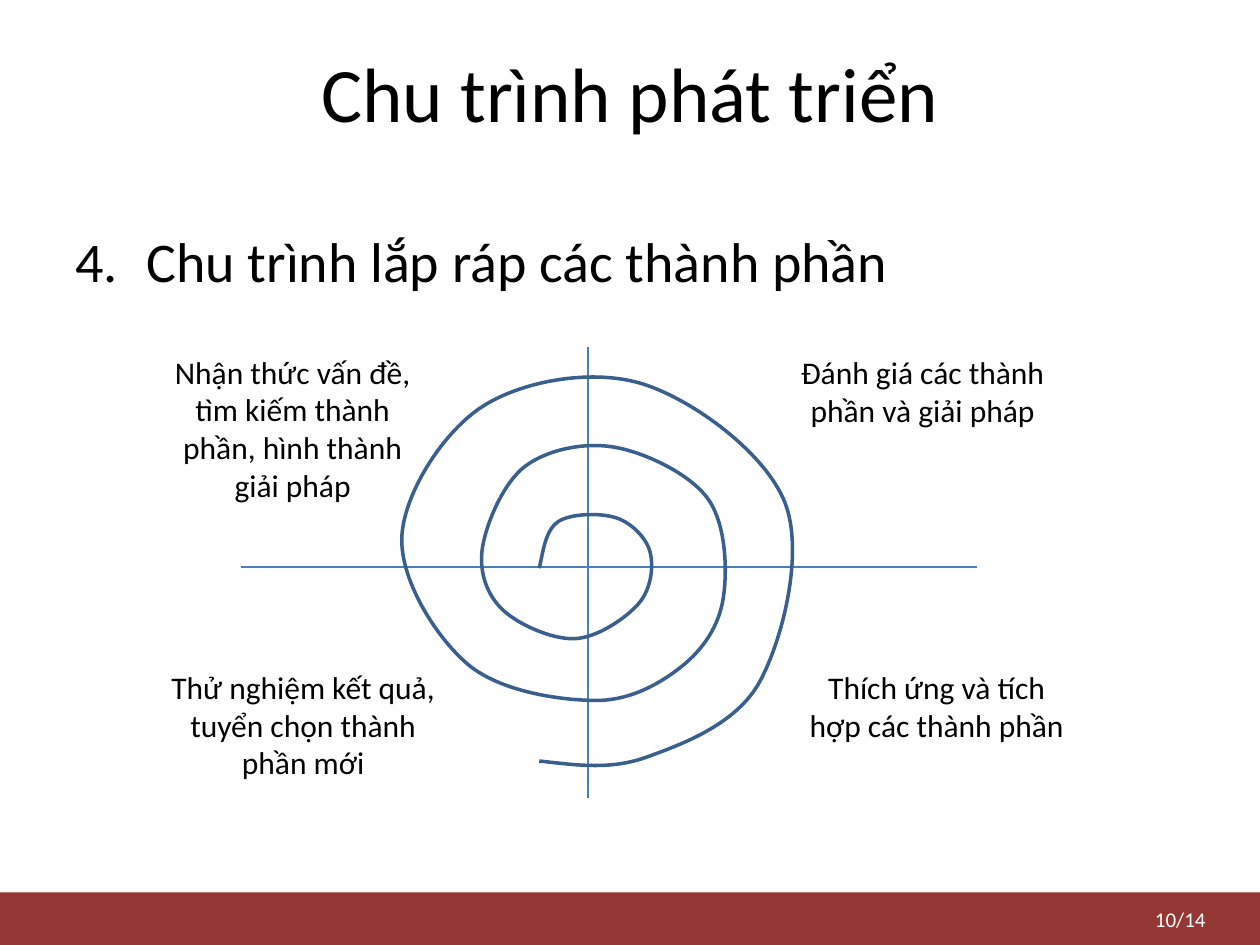
from dataclasses import dataclass

from lxml.etree import SubElement
from pptx import Presentation
from pptx.dml.color import RGBColor
from pptx.enum.shapes import MSO_CONNECTOR as Connector, MSO_SHAPE as Preset
from pptx.enum.text import MSO_ANCHOR as Anchor, MSO_AUTO_SIZE as AutoSize, PP_ALIGN as Align
from pptx.oxml.ns import qn
from pptx.util import Pt

FONT = "Calibri"
SPIRAL_BOX = (229.7, 215.3, 223.2, 222.5)
SPIRAL_LEAD = (306, 354.2)
SPIRAL_TAIL = (247.7, 419.8)
SPIRAL = [
    (308.2, 324.7), (319, 298.1), (352.1, 295.9), (371.5, 315.4), (365, 344.9),
    (328.3, 365), (286.6, 347.8), (275.8, 312.5), (300.2, 266.4), (351.4, 255.6),
    (404.6, 285.1), (413.3, 342), (389.5, 380.9), (339.8, 400.3), (267.1, 379.4),
    (229.7, 306), (276.5, 231.8), (367.9, 219.6), (448.6, 287.3), (434.2, 389.5),
    (369.4, 432.7), (308.2, 434.9),
]


@dataclass
class Label:
    """Text and box of one quadrant label."""
    text: str
    left: float
    top: float
    height: float
    width: float = 166.5


@dataclass
class Axis:
    """End points of one axis."""
    start: tuple[float, float]
    end: tuple[float, float]


LABELS = [
    Label("Nhận thức vấn đề, tìm kiếm thành phần, hình thành giải pháp", 84, 198, 94.5),
    Label("Đánh giá các thành phần và giải pháp", 444, 198, 51),
    Label("Thích ứng và tích hợp các thành phần", 452, 378, 51),
    Label("Thử nghiệm kết quả, tuyển chọn thành phần mới", 90, 378, 72.7),
]
AXES = [Axis((336, 198), (336, 456)), Axis((138, 324), (558, 324))]


def color(value: str) -> RGBColor:
    """Turn a hex string into a colour."""
    return RGBColor.from_string(value)


def place(box, left: float, top: float, width: float, height: float) -> None:
    """Move and size a box, in points."""
    box.left, box.top, box.width, box.height = map(Pt, (left, top, width, height))


def write(box, text: str, size: float, align=Align.CENTER, ink: str = "000000"):
    """Fill a box with one formatted paragraph."""
    frame = box.text_frame
    frame.word_wrap = True
    para = frame.paragraphs[0]
    para.text = text
    para.alignment = align
    para.font.name = FONT
    para.font.size = Pt(size)
    para.font.color.rgb = color(ink)
    return para


def number(para, start: int, indent: float) -> None:
    """Number a paragraph with a hanging indent."""
    props = para._p.get_or_add_pPr()
    props.set("marL", str(Pt(indent)))
    props.set("indent", str(-Pt(indent)))
    bullet = SubElement(props, qn("a:buAutoNum"), type="arabicPeriod", startAt=str(start))
    props.find(qn("a:defRPr")).addprevious(bullet)


def add_label(page, label: Label) -> None:
    """Add one quadrant label."""
    box = page.shapes.add_textbox(*map(Pt, (label.left, label.top, label.width, label.height)))
    write(box, label.text, 18)
    box.text_frame.auto_size = AutoSize.SHAPE_TO_FIT_TEXT


def add_axis(page, axis: Axis) -> None:
    """Add one axis line."""
    line = page.shapes.add_connector(Connector.STRAIGHT, *map(Pt, axis.start + axis.end))
    line.line.color.rgb = color("4B7EBC")
    line.line.width = Pt(0.75)
    SubElement(line._element.spPr, qn("a:effectLst"))


def control(anchor, before, after, sign: int) -> tuple[float, float]:
    """Offset an anchor along its tangent by a sixth of its neighbours' span."""
    return tuple(a + sign * (n - b) / 6 for a, b, n in zip(anchor, before, after))


def bend(shape, knots: list[tuple[float, float]]) -> None:
    """Turn the shape's segments into smooth curves through the knots."""
    left, top, width, height = SPIRAL_BOX
    place(shape, *SPIRAL_BOX)
    outline = shape._element.spPr.find(".//" + qn("a:path"))
    outline.set("w", str(Pt(width)))
    outline.set("h", str(Pt(height)))
    for command in list(outline):
        outline.remove(command)

    def draw(tag: str, *points: tuple[float, float]) -> None:
        command = SubElement(outline, qn(tag))
        for x, y in points:
            SubElement(command, qn("a:pt"), x=str(Pt(x - left)), y=str(Pt(y - top)))

    draw("a:moveTo", knots[0])
    padded = [SPIRAL_LEAD, *knots, SPIRAL_TAIL]
    for before, start, end, after in zip(padded, padded[1:], padded[2:], padded[3:]):
        draw("a:cubicBezTo", control(start, before, end, 1), control(end, start, after, -1), end)


def add_spiral(page) -> None:
    """Add the open spiral."""
    first, *rest = [(Pt(x), Pt(y)) for x, y in SPIRAL]
    builder = page.shapes.build_freeform(*first)
    builder.add_line_segments(rest, close=False)
    spiral = builder.convert_to_shape()
    bend(spiral, SPIRAL)
    spiral.shadow.inherit = False
    spiral.fill.background()
    spiral.line.color.rgb = color("3A5F8C")
    spiral.line.width = Pt(2)


def add_footer(page) -> None:
    """Add the footer band and page number."""
    band = page.shapes.add_shape(Preset.RECTANGLE, 0, Pt(510), Pt(720), Pt(30))
    band.shadow.inherit = False
    band.fill.solid()
    band.fill.fore_color.rgb = color("953735")
    band.line.fill.background()
    box = page.shapes.add_textbox(Pt(498), Pt(513), Pt(198), Pt(24))
    write(box, "10/14", 12, Align.RIGHT, "FFFFFF")
    box.text_frame.vertical_anchor = Anchor.MIDDLE


def main() -> None:
    """Build and save the deck."""
    deck = Presentation()
    deck.slide_width, deck.slide_height = Pt(720), Pt(540)
    page = deck.slides.add_slide(deck.slide_layouts[1])
    title, body = page.placeholders
    place(title, 36, 18, 648, 68.4)
    write(title, "Chu trình phát triển", 44)
    title.text_frame.vertical_anchor = Anchor.MIDDLE
    place(body, 36, 126, 648, 54)
    item = write(body, "Chu trình lắp ráp các thành phần", 32, Align.LEFT)
    number(item, 4, 40.5)
    add_footer(page)
    for axis in AXES:
        add_axis(page, axis)
    add_spiral(page)
    for label in LABELS:
        add_label(page, label)
    deck.save("out.pptx")


main()
